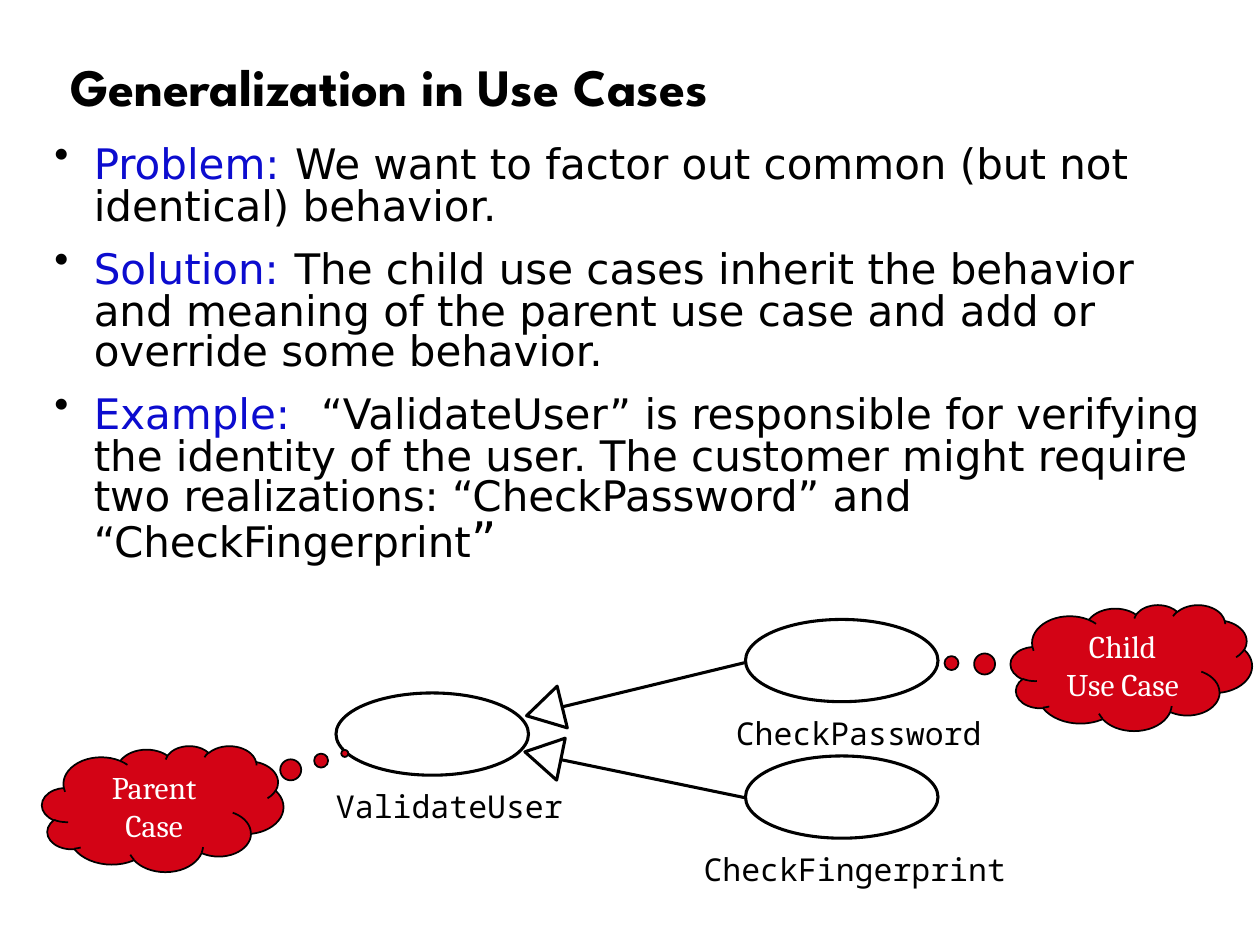
from dataclasses import dataclass

from lxml import etree
from pptx import Presentation
from pptx.dml.color import RGBColor
from pptx.enum import shapes, text
from pptx.oxml import ns
from pptx.util import Pt


@dataclass(frozen=True)
class Theme:
    black: str = "000000"
    white: str = "FFFFFF"
    keyword: str = "0C0CCF"
    cloud: str = "D30315"
    title_font: str = "League Spartan"
    body_font: str = "DejaVu Sans"
    label_font: str = "Noto Sans Mono"
    cloud_font: str = "Cambria"
    title_size: float = 30
    large_size: float = 28
    body_size: float = 24
    label_size: float = 18
    outline: float = 1.75
    thin_outline: float = 1


THEME = Theme()
BULLET_INDENT = 22.5
USE_CASE_SIZE = (110, 47)
LABEL_DROP = 54
ARROWHEAD_SIZE = (24.5, 21)

BULLETS = [
    ("Problem:", " ", "We want to factor out common (but not identical) behavior.", ""),
    ("Solution:", " ", "The child use cases inherit the behavior and meaning of the "
     "parent use case and add or override some behavior.", ""),
    ("Example:", "  ", "“ValidateUser” is responsible for verifying the identity of the "
     "user. The customer might require two realizations: “CheckPassword” and "
     "“CheckFingerprint", "”"),
]
# Name, ellipse position, left edge of the label
PARENT = ("ValidateUser", (192, 396), 192)
CHILDREN = [
    ("CheckPassword", (426, 354), 420.5),
    ("CheckFingerprint", (426, 432), 402),
]
# Arrowhead position, its rotation, line start, line end
ARROWS = [
    ((298.8, 396), 256.3, (321, 404), (425.5, 378.7)),
    ((298, 421.2), 281.5, (321, 434.2), (425.5, 455.8)),
]
# Lines, box, pointer adjustments
CLOUDS = [
    (("Parent", "Case"), (24, 426.2, 138, 72), (0.754, -0.439)),
    (("Child", "Use Case"), (577.5, 345.6, 138, 72), (-0.853, -0.042)),
]


def points(values):
    return [Pt(value) for value in values]


def add_run(paragraph, content, font, size, color=THEME.black, bold=False):
    run = paragraph.add_run()
    run.text = content
    run.font.name = font
    run.font.size = Pt(size)
    run.font.bold = bold
    run.font.color.rgb = RGBColor.from_string(color)


def add_text_box(slide, box, inset=(7.2, 3.6), wrap=True,
                 anchor=text.MSO_ANCHOR.TOP):
    frame = slide.shapes.add_textbox(*points(box)).text_frame
    frame.word_wrap = wrap
    frame.vertical_anchor = anchor
    frame.margin_left = frame.margin_right = Pt(inset[0])
    frame.margin_top = frame.margin_bottom = Pt(inset[1])
    return frame


def add_outlined_shape(slide, kind, box, fill=None, width=THEME.outline):
    shape = slide.shapes.add_shape(kind, *points(box))
    shape.shadow.inherit = False
    if fill:
        shape.fill.solid()
        shape.fill.fore_color.rgb = RGBColor.from_string(fill)
    else:
        shape.fill.background()
    shape.line.color.rgb = RGBColor.from_string(THEME.black)
    shape.line.width = Pt(width)
    return shape


def add_bullet(paragraph):
    properties = paragraph._p.get_or_add_pPr()
    properties.set("marL", str(Pt(BULLET_INDENT)))
    properties.set("indent", str(-Pt(BULLET_INDENT)))
    color = etree.SubElement(properties, ns.qn("a:buClr"))
    etree.SubElement(color, ns.qn("a:srgbClr"), val=THEME.black)
    etree.SubElement(properties, ns.qn("a:buChar"), char="•")


def add_title(slide, box):
    frame = add_text_box(slide, box, anchor=text.MSO_ANCHOR.MIDDLE)
    paragraph = frame.paragraphs[0]
    paragraph.line_spacing = 0.9
    add_run(paragraph, "Generalization in Use Cases", THEME.title_font,
            THEME.title_size, bold=True)


def add_body(slide, box):
    frame = add_text_box(slide, box)
    for index, (keyword, gap, sentence, ending) in enumerate(BULLETS):
        paragraph = frame.add_paragraph() if index else frame.paragraphs[0]
        add_bullet(paragraph)
        paragraph.line_spacing = 0.8
        if index:
            paragraph.space_before = Pt(9.8)
        add_run(paragraph, keyword, THEME.body_font, THEME.body_size, THEME.keyword)
        add_run(paragraph, gap, THEME.body_font, THEME.large_size)
        add_run(paragraph, sentence, THEME.body_font, THEME.body_size)
        if ending:
            add_run(paragraph, ending, THEME.body_font, THEME.large_size)


def add_use_case(slide, name, position, label_left):
    left, top = position
    add_outlined_shape(slide, shapes.MSO_SHAPE.OVAL, (left, top, *USE_CASE_SIZE),
                       THEME.white)
    label_width = len(name) * THEME.label_size * 0.6
    frame = add_text_box(slide, (label_left, top + LABEL_DROP, label_width, 21.6),
                         inset=(0, 0), wrap=False)
    add_run(frame.paragraphs[0], name, THEME.label_font, THEME.label_size)


def add_generalization(slide, head, rotation, start, end):
    """Draw a line from a child with a hollow triangle at the parent."""
    line = slide.shapes.add_connector(shapes.MSO_CONNECTOR.STRAIGHT,
                                      *points((*start, *end)))
    line.line.color.rgb = RGBColor.from_string(THEME.black)
    line.line.width = Pt(THEME.outline)
    etree.SubElement(line._element.spPr, ns.qn("a:effectLst"))
    triangle = add_outlined_shape(slide, shapes.MSO_SHAPE.ISOSCELES_TRIANGLE,
                                  (*head, *ARROWHEAD_SIZE), THEME.white)
    triangle.rotation = rotation


def add_cloud(slide, lines, box, pointer):
    cloud = add_outlined_shape(slide, shapes.MSO_SHAPE.CLOUD_CALLOUT, box,
                               THEME.cloud, THEME.thin_outline)
    cloud.adjustments[0], cloud.adjustments[1] = pointer
    frame = cloud.text_frame
    frame.word_wrap = False
    frame.vertical_anchor = text.MSO_ANCHOR.MIDDLE
    for index, content in enumerate(lines):
        paragraph = frame.add_paragraph() if index else frame.paragraphs[0]
        paragraph.alignment = text.PP_ALIGN.CENTER
        add_run(paragraph, content, THEME.cloud_font, THEME.label_size, THEME.white)


def add_diagram(slide):
    add_use_case(slide, *PARENT)
    for cloud in CLOUDS:
        add_cloud(slide, *cloud)
    for child, arrow in zip(CHILDREN, ARROWS):
        add_use_case(slide, *child)
        add_generalization(slide, *arrow)


def main():
    presentation = Presentation()
    presentation.slide_width, presentation.slide_height = Pt(720), Pt(540)
    slide = presentation.slides.add_slide(presentation.slide_layouts[6])
    add_title(slide, (33, 17.3, 642, 67.7))
    add_body(slide, (24, 77.8, 674.6, 247.7))
    add_diagram(slide)
    presentation.save("out.pptx")


if __name__ == "__main__":
    main()
